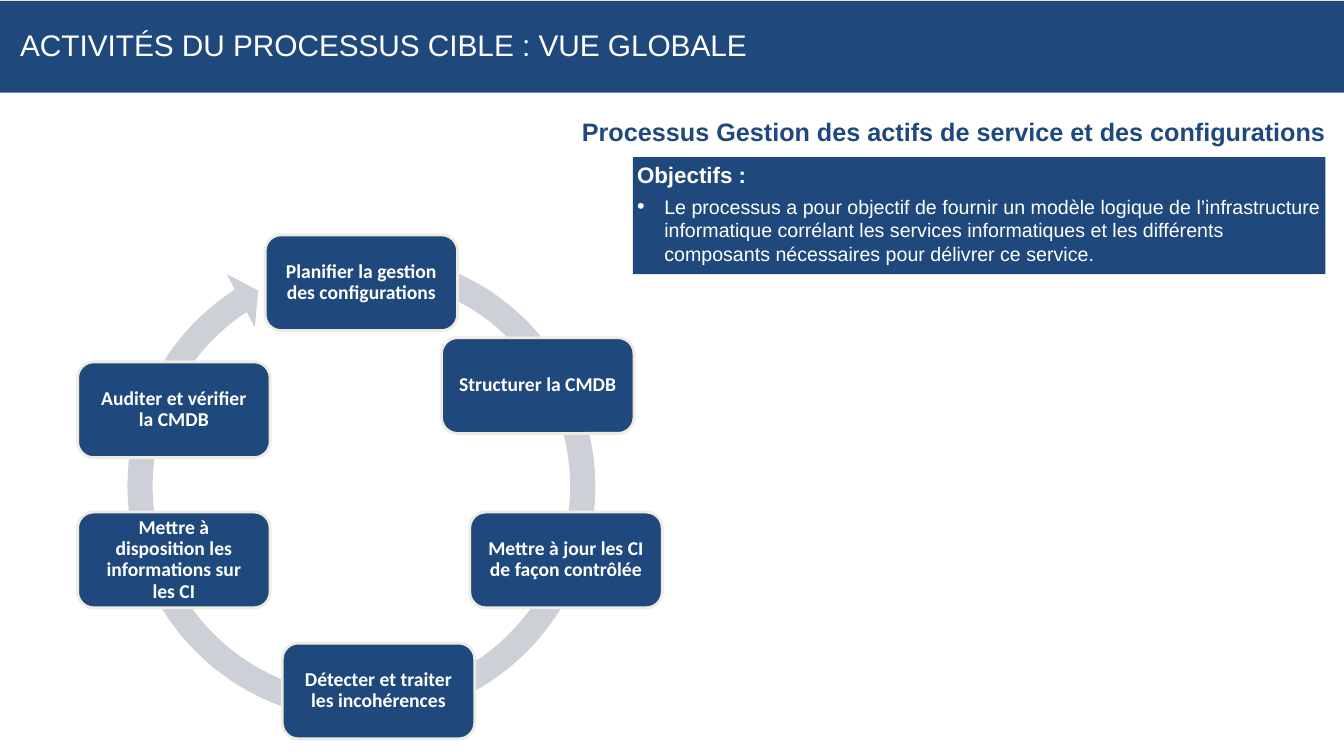
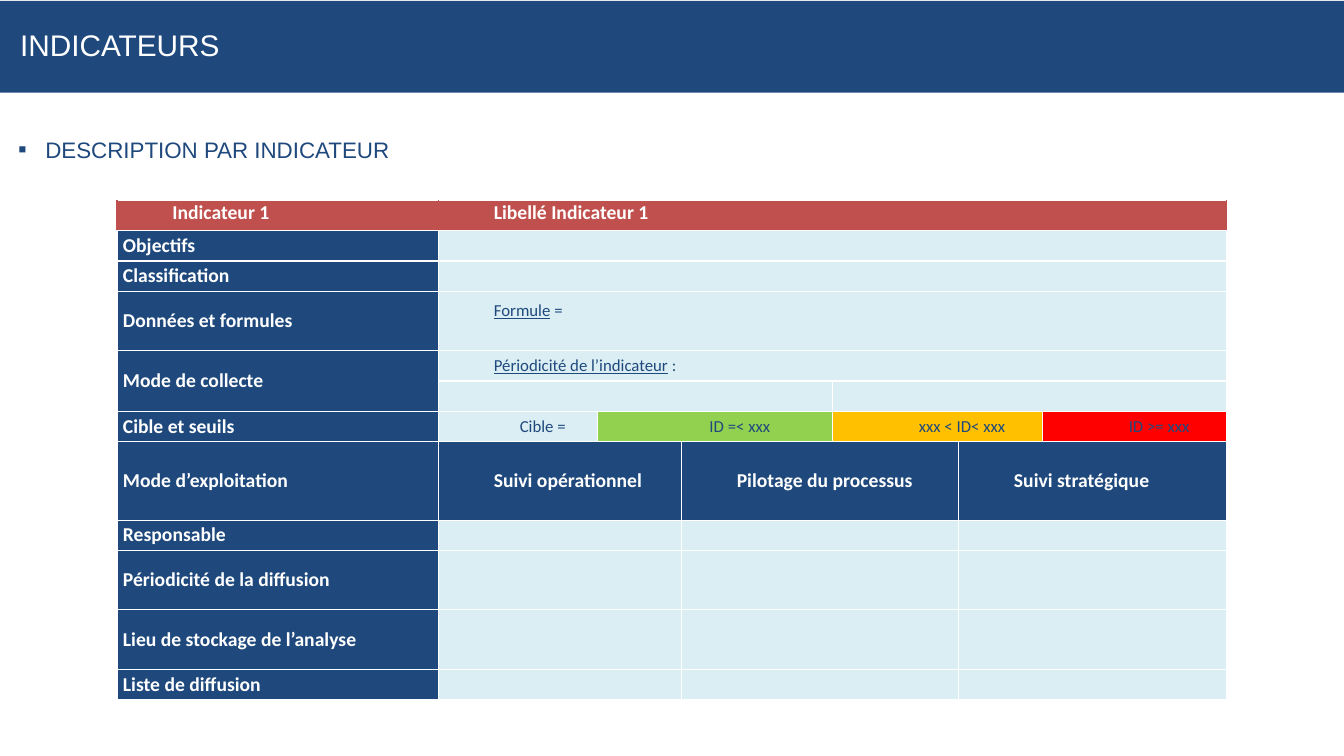
import lxml.etree
import pptx
import pptx.dml.color
import pptx.enum.shapes
import pptx.enum.text
import pptx.oxml.ns
import pptx.util

COLORS = {
    "navy": "1F497D", "white": "FFFFFF", "cream": "EEECE1", "ring": "CDD0D7",
    "brick": "C0504D", "pale": "DAEEF3", "green": "92D050", "amber": "FFC000", "red": "FF0000",
}
SHAPES = pptx.enum.shapes.MSO_SHAPE
ALIGN = pptx.enum.text.PP_ALIGN
MIDDLE = pptx.enum.text.MSO_ANCHOR.MIDDLE
WIDTH, HEIGHT = 133.33, 75
HANGING = 2.7

STEPS = [
    ("Planifier la gestion des configurations", 18.6, 0),
    ("Structurer la CMDB", 36.1, 10.2),
    ("Mettre à jour les CI de façon contrôlée", 38.9, 27.5),
    ("Détecter et traiter les incohérences", 20.3, 40.5),
    ("Mettre à disposition les informations sur les CI", 0, 27.5),
    ("Auditer et vérifier la CMDB", 0, 12.6),
]

CELL_STYLES = {
    "header": dict(fill="brick", color="white", size=14, bold=True, indent=4.9),
    "label": dict(fill="navy", color="white", size=14, bold=True, indent=0),
    "use": dict(fill="navy", color="white", size=14, bold=True, indent=4.9),
    "body": dict(fill="pale", color="navy", size=12, bold=False, indent=4.9),
    "target": dict(fill="pale", color="navy", size=12, bold=False, indent=4.9, align=ALIGN.CENTER),
}
for level in ("green", "amber", "red"):
    CELL_STYLES[level] = dict(CELL_STYLES["target"], fill=level)

COLUMNS = [31.9, 15.8, 8.3, 15, 12.5, 8.3, 18.3]
WHOLE = [("", 6, "body")]
THIRDS = [("", 2, "body")] * 3
ROWS = [
    ("Indicateur 1", 3, [("Libellé Indicateur 1", 6, "header")]),
    ("Objectifs", 3, WHOLE),
    ("Classification", 3, WHOLE),
    ("Données et formules", 5.9, [("Formule =", 6, "body")]),
    ("Mode de collecte", 3, [("Périodicité de l’indicateur :", 6, "body")]),
    (None, 3, [("", 3, "body")] * 2),
    ("Cible et seuils", 3, [("Cible =", 1, "target"), ("ID =< xxx", 2, "green"),
                            ("xxx < ID< xxx", 2, "amber"), ("ID >= xxx", 1, "red")]),
    ("Mode d’exploitation", 7.8, [("Suivi opérationnel", 2, "use"),
                                  ("Pilotage du processus", 2, "use"),
                                  ("Suivi stratégique", 2, "use")]),
    ("Responsable", 3, THIRDS),
    ("Périodicité de la diffusion", 5.9, THIRDS),
    ("Lieu de stockage de l’analyse", 5.9, THIRDS),
    ("Liste de diffusion", 3, THIRDS),
]


def grid(*cells):
    """Turn numbers of grid cells, a tenth of an inch each, into lengths."""
    return [pptx.util.Inches(cell / 10) for cell in cells]


def rgb(name):
    """Return a named colour."""
    return pptx.dml.color.RGBColor.from_string(COLORS[name])


def set_margins(holder, sides, ends):
    """Set the side and the end margins of a text frame or table cell."""
    holder.margin_left, holder.margin_right = grid(sides, sides)
    holder.margin_top, holder.margin_bottom = grid(ends, ends)


def style_para(para, size, color, font="Arial", bold=False, align=ALIGN.LEFT):
    """Format a paragraph and its runs."""
    para.alignment = align
    for span in para.runs:
        span.font.name = font
        span.font.size = pptx.util.Pt(size)
        span.font.bold = bold
        span.font.color.rgb = rgb(color)


def add_bullet(para, mark, color):
    """Give a paragraph a hanging bullet."""
    hang = grid(HANGING)[0]
    properties = para._p.get_or_add_pPr()
    properties.set("marL", str(hang))
    properties.set("indent", str(-hang))
    qn = pptx.oxml.ns.qn
    tint = lxml.etree.SubElement(properties, qn("a:buClr"))
    lxml.etree.SubElement(tint, qn("a:srgbClr"), val=COLORS[color])
    lxml.etree.SubElement(properties, qn("a:buSzPct"), val="110000")
    lxml.etree.SubElement(properties, qn("a:buFont"), typeface="Arial")
    lxml.etree.SubElement(properties, qn("a:buChar"), char=mark)


def add_panel(page, kind, area, fill, line=None):
    """Add a filled shape without shadow, outlined when a line colour is given."""
    panel = page.shapes.add_shape(kind, *grid(*area))
    panel.shadow.inherit = False
    panel.fill.solid()
    panel.fill.fore_color.rgb = rgb(fill)
    if line:
        panel.line.color.rgb = rgb(line)
        panel.line.width = pptx.util.Pt(2)
    else:
        panel.line.fill.background()
    return panel


def add_heading(page, area, text):
    """Add a wrapping text box without margins and return its paragraph."""
    frame = page.shapes.add_textbox(*grid(*area)).text_frame
    frame.word_wrap = True
    set_margins(frame, 0, 0)
    frame.text = text
    return frame.paragraphs[0]


def add_page(deck, title):
    """Add a title-only slide whose title is the band at its top."""
    page = deck.slides.add_slide(deck.slide_layouts[5])
    band = page.shapes.title
    band.left, band.top, band.width, band.height = grid(0, 0.1, WIDTH, 9.1)
    band.fill.solid()
    band.fill.fore_color.rgb = rgb("navy")
    frame = band.text_frame
    frame.text = title
    frame.auto_size = pptx.enum.text.MSO_AUTO_SIZE.NONE
    frame.vertical_anchor = MIDDLE
    set_margins(frame, 2, 0.4)
    frame.paragraphs[0].line_spacing = 0.9
    style_para(frame.paragraphs[0], 21.3, "white")
    return page


def add_cycle(page, left, top):
    """Draw the circular arrow and the steps of the process around it."""
    ring = add_panel(page, SHAPES.CIRCULAR_ARROW, (left + 3.2, top, 49.9, 49.9), "ring")
    for index, value in enumerate((0.05, 3.13, 142.19, 171.32, 0.06)):
        ring.adjustments[index] = value
    for text, across, down in STEPS:
        step = add_panel(page, SHAPES.ROUNDED_RECTANGLE,
                         (left + across, top + down, 19.1, 9.5), "navy", "cream")
        frame = step.text_frame
        frame.text = text
        frame.word_wrap = True
        frame.vertical_anchor = MIDDLE
        set_margins(frame, 1.1, 1.1)
        frame.paragraphs[0].line_spacing = 0.9
        style_para(frame.paragraphs[0], 14, "white", "Calibri", True, ALIGN.CENTER)


def add_objectives(page, area):
    """Add the panel with the objectives of the process."""
    frame = add_panel(page, SHAPES.RECTANGLE, area, "navy").text_frame
    frame.word_wrap = True
    frame.vertical_anchor = pptx.enum.text.MSO_ANCHOR.TOP
    set_margins(frame, 0.4, 0.4)
    frame.text = "Objectifs :"
    style_para(frame.paragraphs[0], 16, "white", bold=True)
    para = frame.add_paragraph()
    para.text = ("Le processus a pour objectif de fournir un modèle logique de l’infrastructure "
                 "informatique corrélant les services informatiques et les différents "
                 "composants nécessaires pour délivrer ce service.")
    add_bullet(para, "•", "white")
    para.space_before = pptx.util.Pt(4.5)
    style_para(para, 14, "white")


def paint_cell(cell, fill, sides):
    """Give a table cell its margins, borders and fill."""
    set_margins(cell, 0.6, 0)
    properties = cell._tc.get_or_add_tcPr()
    qn = pptx.oxml.ns.qn
    for edge, color in (("L", sides), ("R", sides), ("T", "white"), ("B", "white")):
        line = lxml.etree.SubElement(properties, qn("a:ln" + edge), w="12700")
        solid = lxml.etree.SubElement(line, qn("a:solidFill"))
        lxml.etree.SubElement(solid, qn("a:srgbClr"), val=COLORS[color])
    cell.fill.solid()
    cell.fill.fore_color.rgb = rgb(fill)


def write_cell(cell, text, style):
    """Write a cell, underlining the term before a closing = or : sign."""
    para = cell.text_frame.paragraphs[0]
    if not text:
        lxml.etree.SubElement(para._p, pptx.oxml.ns.qn("a:endParaRPr"), sz="1200")
        return
    if style == "body":
        term, _, sign = text.rpartition(" ")
        para.text = term
        para.runs[0].font.underline = True
        para.add_run().text = " " + sign
    else:
        para.text = text
    look = CELL_STYLES[style]
    para._p.get_or_add_pPr().set("marL", str(grid(look["indent"] * 0.61)[0]))
    para._p.get_or_add_pPr().set("indent", str(grid(look["indent"] * 0.39)[0]))
    style_para(para, look["size"], look["color"], "Calibri", look["bold"],
               look.get("align", ALIGN.LEFT))


def add_indicator_table(page, left, top):
    """Add the table that describes one indicator."""
    area = grid(left, top, sum(COLUMNS), sum(height for _, height, _ in ROWS))
    table = page.shapes.add_table(len(ROWS), len(COLUMNS), *area).table
    table.first_row = table.horz_banding = False
    for column, width in zip(table.columns, grid(*COLUMNS)):
        column.width = width
    for row, (label, height, parts) in enumerate(ROWS):
        table.rows[row].height = grid(height)[0]
        label_style = "label" if row else "header"
        start = 0
        for text, count, style in [(label, 1, label_style)] + parts:
            fill = CELL_STYLES[style]["fill"]
            for column in range(start, start + count):
                paint_cell(table.cell(row, column), fill, "white" if row else fill)
            cell = table.cell(row, start)
            if row:
                cell.vertical_anchor = MIDDLE
            write_cell(cell, text, style)
            if count > 1:
                cell.merge(table.cell(row, start + count - 1))
            if text is None:
                table.cell(row - 1, start).merge(cell)
            if text == "Formule =":
                cell.margin_bottom = grid(2)[0]
            start += count


def build_overview(deck):
    """Build the slide with the overall view of the process."""
    page = add_page(deck, "ACTIVITÉS DU PROCESSUS CIBLE : VUE GLOBALE")
    para = add_heading(page, (55.6, 11.5, 75.9, 4.4),
                       "Processus Gestion des actifs de service et des configurations")
    style_para(para, 18, "navy", bold=True, align=ALIGN.RIGHT)
    add_cycle(page, 7.7, 23.3)
    add_objectives(page, (62.8, 15.6, 68.7, 11.6))


def build_indicators(deck):
    """Build the slide with the description of an indicator."""
    page = add_page(deck, "INDICATEURS")
    para = add_heading(page, (1.8, 13.5, 125.5, 6.7), "DESCRIPTION PAR INDICATEUR")
    add_bullet(para, "▪", "navy")
    style_para(para, 16, "navy")
    add_indicator_table(page, 11.6, 19.9)


def main():
    """Build and save the presentation."""
    deck = pptx.Presentation()
    deck.slide_width, deck.slide_height = grid(WIDTH, HEIGHT)
    build_overview(deck)
    build_indicators(deck)
    deck.save("out.pptx")


if __name__ == "__main__":
    main()
